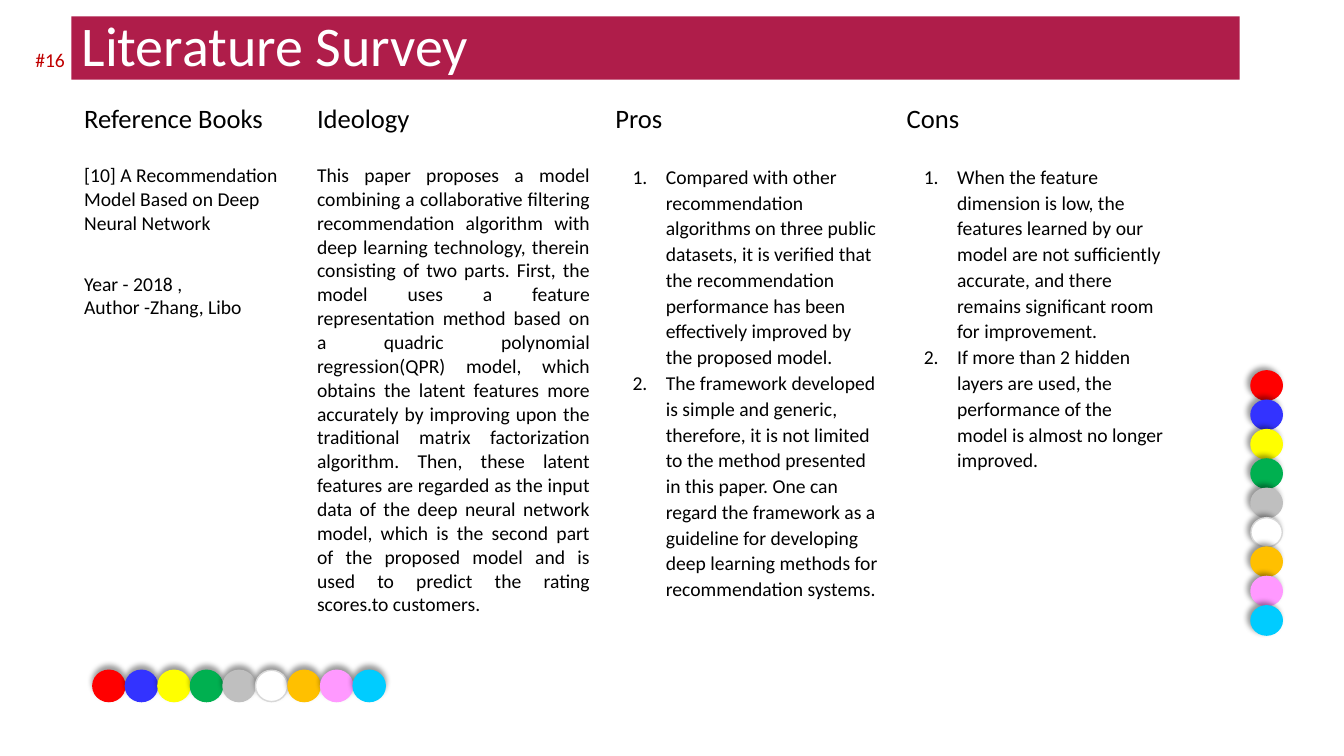
from dataclasses import dataclass

from lxml.etree import SubElement
from pptx import Presentation
from pptx.dml.color import RGBColor
from pptx.enum.shapes import MSO_SHAPE
from pptx.enum.text import MSO_ANCHOR, MSO_AUTO_SIZE, PP_ALIGN
from pptx.oxml.ns import qn
from pptx.util import Cm, Pt


@dataclass(frozen=True)
class Theme:
    font: str = "Calibri"
    banner: str = "AF1D4A"
    banner_text: str = "FFFFFF"
    text: str = "000000"
    number: str = "C00000"
    shadow: str = "000000"
    white_dot: str = "FFFFFF"
    white_dot_line: str = "D8D8D8"
    dots: tuple = ("FF0000", "3333FF", "FFFF00", "00B050", "BFBFBF",
                   "FFFFFF", "FFC000", "FF99FF", "00CCFF")
    title_size: int = 40
    heading_size: int = 19
    body_size: int = 14


THEME = Theme()
COLUMN_WIDTHS = (5.87, 7.52, 7.34, 7.19)
ROW_HEIGHTS = (1.52, 10.85)
HEADINGS = ("Reference Books", "Ideology", "Pros", "Cons")
REFERENCE = (
    "[10] A Recommendation Model Based on Deep Neural Network",
    "Year - 2018 ,\vAuthor -Zhang, Libo",
)
IDEOLOGY = (
    "This paper proposes a model combining a collaborative filtering "
    "recommendation algorithm with deep learning technology, therein "
    "consisting of two parts. First, the model uses a feature representation "
    "method based on a quadric polynomial regression(QPR) model, which obtains "
    "the latent features more accurately by improving upon the traditional "
    "matrix factorization algorithm. Then, these latent features are regarded "
    "as the input data of the deep neural network model, which is the second "
    "part of the proposed model and is used to predict the rating scores.to "
    "customers."
)
PROS = (
    "Compared with other recommendation algorithms on three public datasets, "
    "it is verified that the recommendation performance has been effectively "
    "improved by the proposed model.",
    "The framework developed is simple and generic, therefore, it is not "
    "limited to the method presented in this paper. One can regard the "
    "framework as a guideline for developing deep learning methods for "
    "recommendation systems.",
)
CONS = (
    "When the feature dimension is low, the features learned by our model are "
    "not sufficiently accurate, and there remains significant room for "
    "improvement.",
    "If more than 2 hidden layers are used, the performance of the model is "
    "almost no longer improved.",
)


def color(value):
    return RGBColor.from_string(value)


def style(paragraph, size, value):
    paragraph.font.name = THEME.font
    paragraph.font.size = Pt(size)
    paragraph.font.color.rgb = color(value)


def write_paragraphs(text_frame, texts, size):
    paragraphs = []
    for index, text in enumerate(texts):
        paragraph = text_frame.add_paragraph() if index else text_frame.paragraphs[0]
        paragraph.text = text
        paragraphs.append(paragraph)
        style(paragraph, size, THEME.text)
    return paragraphs


def write_numbered(text_frame, texts):
    for index, text in enumerate(texts):
        paragraph = text_frame.add_paragraph() if index else text_frame.paragraphs[0]
        paragraph.text = text
        paragraph.line_spacing = 1.08
        properties = paragraph._p.get_or_add_pPr()
        properties.set("marL", str(Cm(1.27)))
        properties.set("indent", str(Cm(-0.84)))
        SubElement(properties, qn("a:buAutoNum"), type="arabicPeriod")
        style(paragraph, THEME.body_size, THEME.text)


def add_shadow(shape, direction):
    effects = SubElement(shape._element.spPr, qn("a:effectLst"))
    shadow = SubElement(effects, qn("a:outerShdw"), blurRad=str(Pt(4)),
                        dist=str(Pt(3)), dir=str(direction * 60000),
                        rotWithShape="0")
    shade = SubElement(shadow, qn("a:srgbClr"), val=THEME.shadow)
    SubElement(shade, qn("a:alpha"), val="40000")


def add_dots(slide, left, top, width, height, step, rotation, direction):
    step_x, step_y = step
    for index, value in enumerate(THEME.dots):
        dot = slide.shapes.add_shape(
            MSO_SHAPE.FLOWCHART_CONNECTOR, Cm(left + index * step_x),
            Cm(top + index * step_y), Cm(width), Cm(height))
        dot.rotation = rotation
        dot.fill.solid()
        dot.fill.fore_color.rgb = color(value)
        outline = THEME.white_dot_line if value == THEME.white_dot else value
        dot.line.color.rgb = color(outline)
        dot.line.width = Pt(1)
        add_shadow(dot, direction)


def add_title(slide, left, top, width, height):
    title = slide.shapes.title
    title.left, title.top, title.width, title.height = map(
        Cm, (left, top, width, height))
    title.fill.solid()
    title.fill.fore_color.rgb = color(THEME.banner)
    text_frame = title.text_frame
    text_frame.auto_size = MSO_AUTO_SIZE.NONE
    text_frame.vertical_anchor = MSO_ANCHOR.MIDDLE
    paragraph = text_frame.paragraphs[0]
    paragraph.text = "Literature Survey"
    paragraph.alignment = PP_ALIGN.LEFT
    paragraph.line_spacing = 0.9
    style(paragraph, THEME.title_size, THEME.banner_text)


def add_survey_table(slide, left, top):
    table = slide.shapes.add_table(
        len(ROW_HEIGHTS), len(COLUMN_WIDTHS), Cm(left), Cm(top),
        Cm(sum(COLUMN_WIDTHS)), Cm(sum(ROW_HEIGHTS))).table
    table.first_row = False
    table.horz_banding = False
    for column, width in zip(table.columns, COLUMN_WIDTHS):
        column.width = Cm(width)
    for row, height in zip(table.rows, ROW_HEIGHTS):
        row.height = Cm(height)
    for cell in table.iter_cells():
        cell.fill.background()
        cell.margin_left = cell.margin_right = Cm(0.32)
        cell.margin_top = cell.margin_bottom = Cm(0.32)

    for index, heading in enumerate(HEADINGS):
        write_paragraphs(table.cell(0, index).text_frame, [heading],
                         THEME.heading_size)
    reference, ideology, pros, cons = (
        table.cell(1, index).text_frame for index in range(len(HEADINGS)))
    source_lines = write_paragraphs(reference, REFERENCE, THEME.body_size)
    source_lines[1].space_before = Pt(26.4)
    summary = write_paragraphs(ideology, [IDEOLOGY], THEME.body_size)[0]
    summary.alignment = PP_ALIGN.JUSTIFY
    write_numbered(pros, PROS)
    write_numbered(cons, CONS)


def add_page_number(slide, left, top, width, height):
    box = slide.shapes.add_textbox(Cm(left), Cm(top), Cm(width), Cm(height))
    text_frame = box.text_frame
    text_frame.word_wrap = True
    text_frame.vertical_anchor = MSO_ANCHOR.MIDDLE
    paragraph = text_frame.paragraphs[0]
    paragraph.text = "#16"
    style(paragraph, THEME.body_size, THEME.number)


def main():
    presentation = Presentation()
    presentation.slide_width = Cm(33.87)
    presentation.slide_height = Cm(19.05)
    slide = presentation.slides.add_slide(presentation.slide_layouts[5])
    add_dots(slide, 31.55, 9.32, 0.74, 0.79, (0, 0.74), 90, 225)
    add_dots(slide, 2.34, 16.89, 0.81, 0.79, (0.82, 0), 0, 270)
    add_title(slide, 1.8, 0.41, 29.44, 1.6)
    add_survey_table(slide, 1.8, 2.29)
    add_page_number(slide, 0.64, 0.99, 7.62, 1.02)
    presentation.save("out.pptx")


if __name__ == "__main__":
    main()
